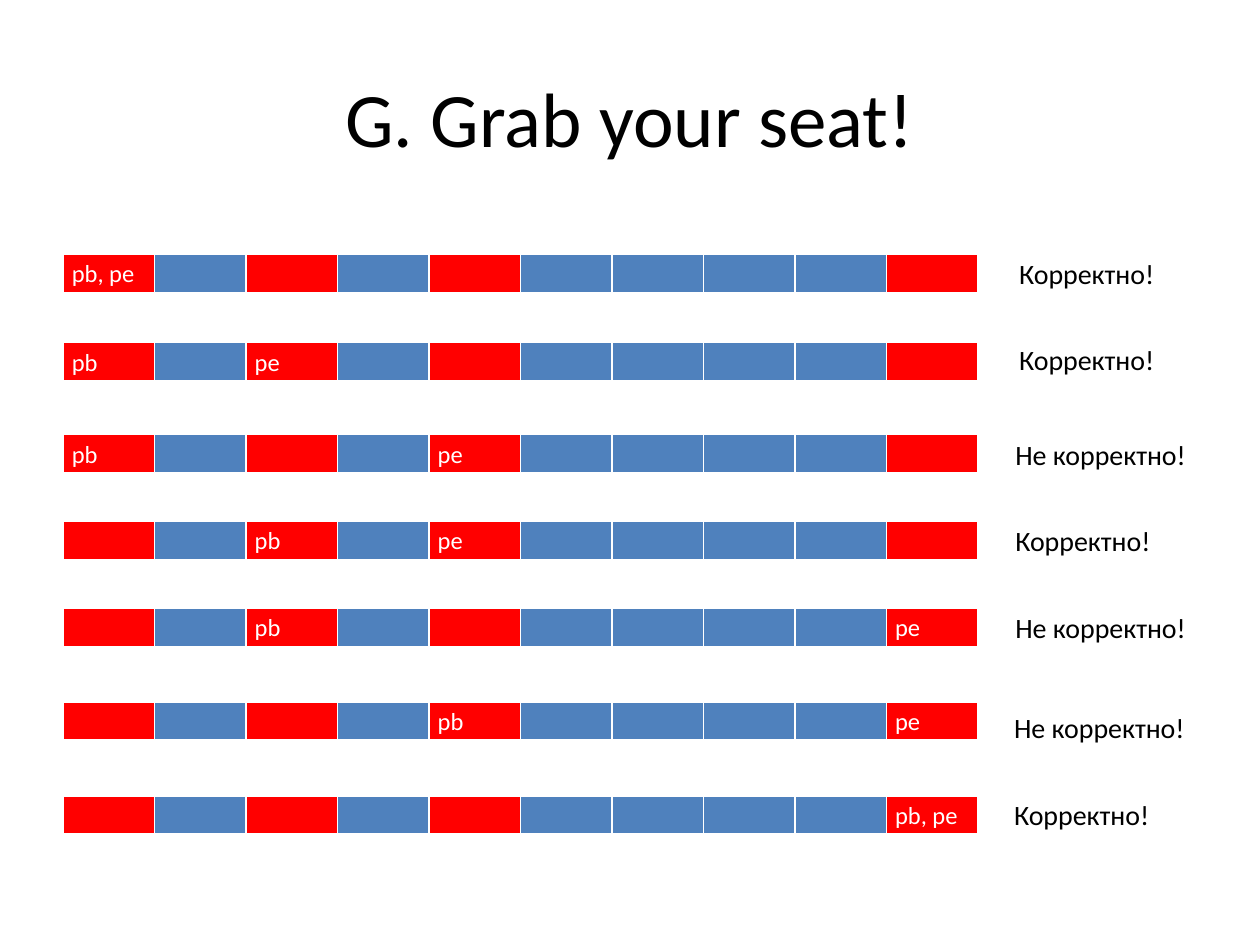
from dataclasses import dataclass

from lxml.etree import SubElement
from pptx import Presentation
from pptx.dml.color import RGBColor as Rgb
from pptx.enum.text import MSO_ANCHOR as Anchor, MSO_AUTO_SIZE as AutoSize, PP_ALIGN as Align
from pptx.oxml.ns import qn
from pptx.util import Inches, Pt


@dataclass(frozen=True)
class Theme:
    """Colours, type sizes and font of the slide."""
    font: str = "Calibri"
    ink: str = "000000"
    light: str = "FFFFFF"
    taken: str = "FF0000"
    free: str = "4F81BD"
    title_size: int = 44
    seat_size: int = 14
    verdict_size: int = 16


THEME = Theme()
SEATS = 10
TAKEN_SEATS = {0, 2, 4, 9}
ROW_LEFT, ROW_WIDTH, ROW_HEIGHT = 0.5, 7.26, 0.31
VALID, INVALID = "Корректно!", "Не корректно!"
VERDICT_WIDTHS = {VALID: 1.34, INVALID: 1.61}
CASES = [
    (2.02, {0: "pb, pe"}, VALID, (7.99, 1.99)),
    (2.72, {0: "pb", 2: "pe"}, VALID, (7.99, 2.67)),
    (3.45, {0: "pb", 4: "pe"}, INVALID, (7.96, 3.42)),
    (4.14, {2: "pb", 4: "pe"}, VALID, (7.96, 4.11)),
    (4.83, {2: "pb", 9: "pe"}, INVALID, (7.96, 4.8)),
    (5.57, {4: "pb", 9: "pe"}, INVALID, (7.95, 5.59)),
    (6.32, {9: "pb, pe"}, VALID, (7.95, 6.28)),
]


def style_runs(paragraph, size, color):
    """Apply font, size and colour to every run of a paragraph."""
    for run in paragraph.runs:
        run.font.name = THEME.font
        run.font.size = Pt(size)
        run.font.bold = False
        run.font.color.rgb = Rgb.from_string(color)


def add_label(slide, text, box, size, align=Align.LEFT, anchor=Anchor.TOP, wrap=False):
    """Add a line of dark text in a box given in inches."""
    label = slide.shapes.add_textbox(*map(Inches, box)).text_frame
    label.text = text
    label.word_wrap = wrap
    label.auto_size = AutoSize.NONE if wrap else AutoSize.SHAPE_TO_FIT_TEXT
    label.vertical_anchor = anchor
    label.paragraphs[0].alignment = align
    style_runs(label.paragraphs[0], size, THEME.ink)


def add_borders(cell):
    """Outline a cell in white, with a thicker bottom edge."""
    properties = cell._tc.get_or_add_tcPr()
    for edge, width in (("L", 1), ("R", 1), ("T", 1), ("B", 3)):
        line = SubElement(properties, qn(f"a:ln{edge}"), w=str(Pt(width)))
        fill = SubElement(line, qn("a:solidFill"))
        SubElement(fill, qn("a:srgbClr"), val=THEME.light)


def fill_seat(cell, text, color):
    """Colour one seat and write its pointers."""
    add_borders(cell)
    cell.fill.solid()
    cell.fill.fore_color.rgb = Rgb.from_string(color)
    cell.margin_left = cell.margin_right = Inches(0.07)
    cell.margin_top = cell.margin_bottom = Inches(0.04)
    paragraph = cell.text_frame.paragraphs[0]
    if text:
        paragraph.text = text
        style_runs(paragraph, THEME.seat_size, THEME.light)
    else:
        SubElement(paragraph._p, qn("a:endParaRPr"), sz=str(THEME.seat_size * 100))


def add_seat_row(slide, top, pointers):
    """Add a row of equal seats with pointers on some of them."""
    box = map(Inches, (ROW_LEFT, top, ROW_WIDTH, ROW_HEIGHT))
    seats = slide.shapes.add_table(1, SEATS, *box).table
    for index in range(SEATS):
        color = THEME.taken if index in TAKEN_SEATS else THEME.free
        fill_seat(seats.cell(0, index), pointers.get(index, ""), color)


def main():
    """Build the slide and save it."""
    deck = Presentation()
    deck.slide_width, deck.slide_height = Inches(10), Inches(7.5)
    slide = deck.slides.add_slide(deck.slide_layouts[6])
    add_label(slide, "G. Grab your seat!", (0.5, 0.3, 9, 1.25), THEME.title_size,
              Align.CENTER, Anchor.MIDDLE, wrap=True)
    for top, pointers, verdict, corner in CASES:
        add_seat_row(slide, top, pointers)
        add_label(slide, verdict, (*corner, VERDICT_WIDTHS[verdict], 0.37), THEME.verdict_size)
    deck.save("out.pptx")


if __name__ == "__main__":
    main()
